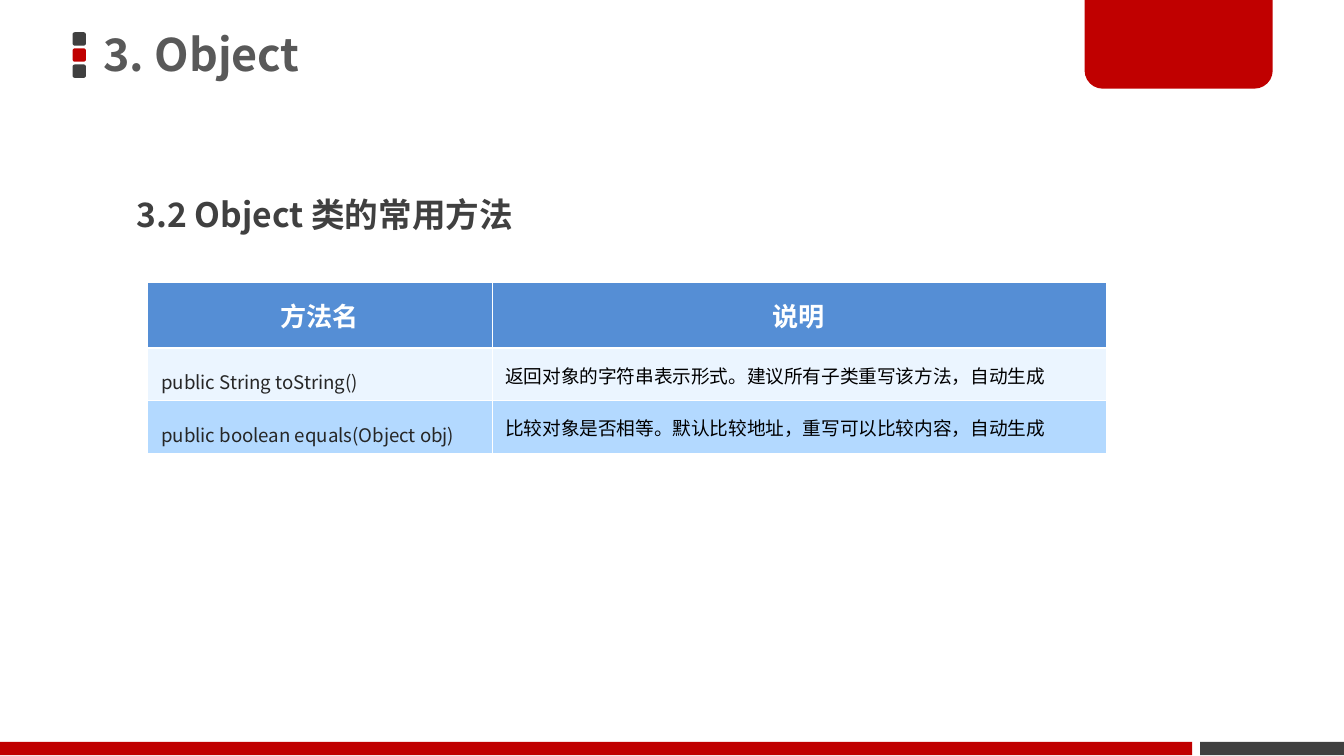
from pptx import Presentation
from pptx.dml.color import RGBColor
from pptx.enum.shapes import MSO_SHAPE as Shape
from pptx.enum.text import MSO_ANCHOR as Anchor, MSO_AUTO_SIZE as AutoSize, PP_ALIGN as Align
from pptx.oxml.ns import qn
from pptx.util import Inches, Pt
from lxml.etree import SubElement

FONT = "Noto Sans CJK SC"
RED, GRAY, WHITE = "C00000", "404040", "FFFFFF"
THIN, THICK = 0.45, 1.47


def color(value):
    return RGBColor.from_string(value)


def write(frame, text, size, ink, bold=False, align=Align.LEFT, spacing=1.0):
    para = frame.paragraphs[0]
    para.alignment = align
    para.line_spacing = spacing
    span = para.add_run()
    span.text = text
    font = span.font
    font.name, font.size, font.bold = FONT, Pt(size), bold
    font.color.rgb = color(ink)
    SubElement(font._element, qn("a:ea"), typeface=FONT)


def set_margins(frame, side, edge):
    frame.margin_left = frame.margin_right = Inches(side)
    frame.margin_top = frame.margin_bottom = Inches(edge)


def place(box, left, top, width, height):
    box.left, box.top = Inches(left), Inches(top)
    box.width, box.height = Inches(width), Inches(height)


def add_block(page, kind, left, top, width, height, fill, adjustments=()):
    block = page.shapes.add_shape(kind, Inches(left), Inches(top), Inches(width), Inches(height))
    block.shadow.inherit = False
    block.fill.solid()
    block.fill.fore_color.rgb = color(fill)
    block.line.fill.background()
    for index, value in enumerate(adjustments):
        block.adjustments[index] = value


def add_title(page, text):
    title = page.shapes.title
    place(title, 0.69, -0.02, 5.89, 0.89)
    frame = title.text_frame
    frame.word_wrap = True
    frame.auto_size = AutoSize.NONE
    frame.vertical_anchor = Anchor.MIDDLE
    set_margins(frame, 0.08, 0.04)
    write(frame, text, 24, "595959", bold=True, spacing=0.9)


def add_heading(page, text):
    box = page.shapes.add_textbox(Inches(0.92), Inches(1.24), Inches(3.84), Inches(0.55))
    frame = box.text_frame
    frame.word_wrap = True
    frame.auto_size = AutoSize.SHAPE_TO_FIT_TEXT
    write(frame, text, 18, GRAY, bold=True, spacing=1.5)


def format_cell(cell, fill, top, bottom):
    # Borders come before the fill in the cell properties
    properties = cell._tc.get_or_add_tcPr()
    for side, width in (("L", THIN), ("R", THIN), ("T", top), ("B", bottom)):
        line = SubElement(properties, qn(f"a:ln{side}"), w=str(Pt(width)))
        paint = SubElement(line, qn("a:solidFill"))
        SubElement(paint, qn("a:srgbClr"), val=WHITE)
    cell.fill.solid()
    cell.fill.fore_color.rgb = color(fill)


def add_method_table(page, header, methods):
    rows = [header, *methods]
    frame = page.shapes.add_table(len(rows), 2, Inches(1.1), Inches(2.1), Inches(7.13), Inches(1.27))
    table = frame.table
    for column, width in zip(table.columns, (2.56, 4.57)):
        column.width = Inches(width)
    for index, values in enumerate(rows):
        is_header = index == 0
        table.rows[index].height = Inches(0.49 if is_header else 0.39)
        fill = "558ED5" if is_header else ("EBF5FF", "B3D9FF")[(index - 1) % 2]
        for column, text in enumerate(values):
            cell = table.cell(index, column)
            format_cell(cell, fill, THICK if index == 1 else THIN, THICK if is_header else THIN)
            if is_header:
                write(cell.text_frame, text, 14, WHITE, bold=True, align=Align.CENTER, spacing=Pt(24))
            else:
                cell.vertical_anchor = Anchor.MIDDLE
                cell.margin_bottom = Inches(0.04)
                ink, spacing = (("262626", 1.5), ("000000", 1.0))[column]
                write(cell.text_frame, text, 10, ink, spacing=spacing)


def main():
    deck = Presentation()
    # Widescreen page, 16 to 9
    deck.slide_width = Inches(10)
    deck.slide_height = deck.slide_width * 9 // 16
    page = deck.slides.add_slide(deck.slide_layouts[5])

    # Title marker: three stacked squares
    for index, fill in enumerate((GRAY, RED, GRAY)):
        add_block(page, Shape.ROUNDED_RECTANGLE, 0.54, 0.24 + 0.12 * index, 0.1, 0.1, fill, [0.17])

    # Corner tab and footer bars
    add_block(page, Shape.RECTANGLE, 8.93, 5.52, 1.07, 0.1, GRAY)
    add_block(page, Shape.ROUND_2_SAME_RECTANGLE, 8.07, -0.02, 1.4, 0.68, RED, [0, 0.2])
    add_block(page, Shape.RECTANGLE, 0, 5.52, 8.87, 0.1, RED)

    # Content
    add_title(page, "3. Object")
    add_method_table(page, ("方法名", "说明"), [
        ("public String toString()", "返回对象的字符串表示形式。建议所有子类重写该方法，自动生成"),
        ("public boolean equals(Object obj)", "比较对象是否相等。默认比较地址，重写可以比较内容，自动生成"),
    ])
    add_heading(page, "3.2 Object 类的常用方法")

    deck.save("out.pptx")


if __name__ == "__main__":
    main()
